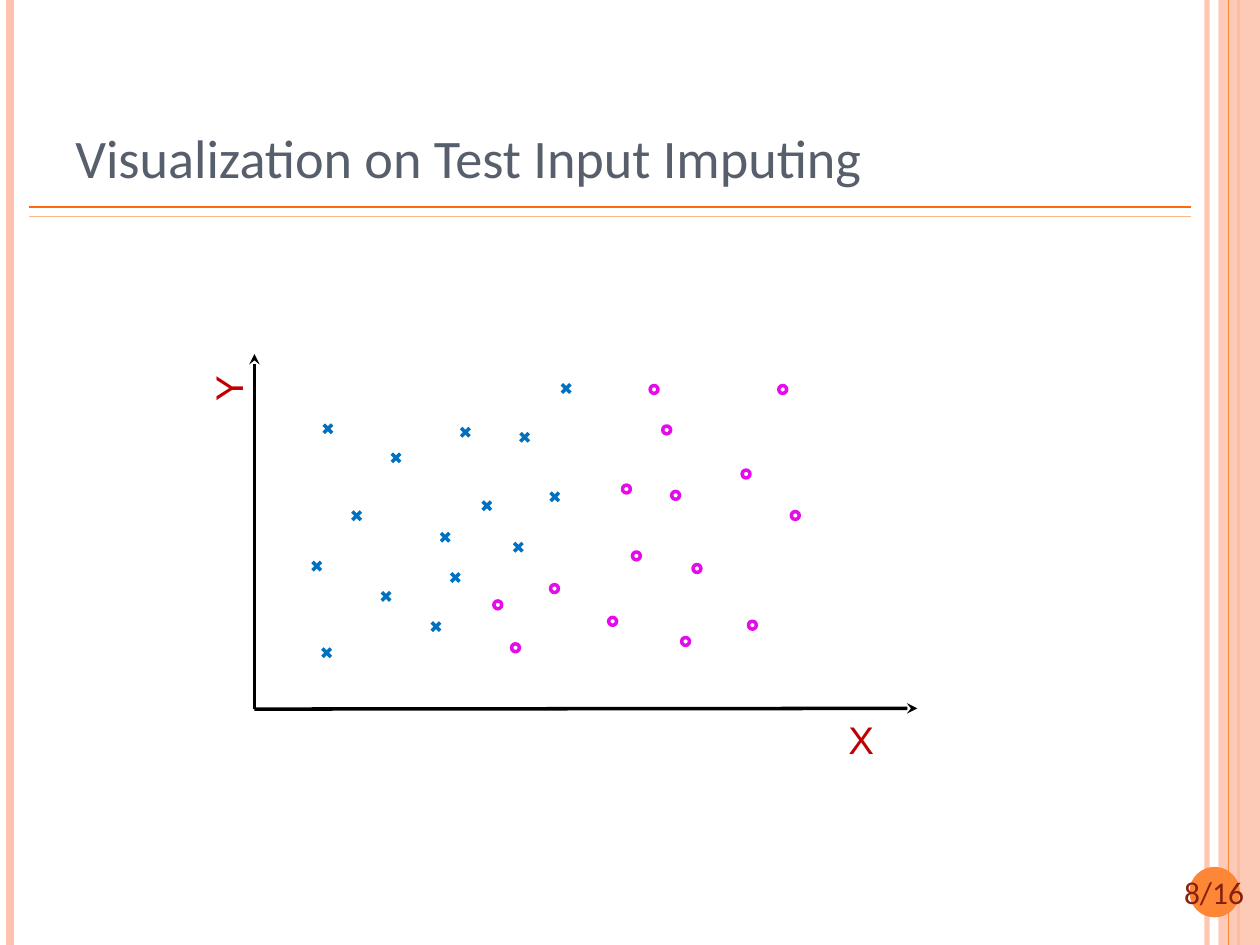
"""Builds the slide that plots two classes of test points on X and Y axes."""
from lxml.etree import SubElement
from pptx import Presentation
from pptx.dml.color import RGBColor
from pptx.enum.shapes import MSO_CONNECTOR, MSO_SHAPE
from pptx.enum.text import MSO_ANCHOR, PP_ALIGN
from pptx.oxml.ns import qn
from pptx.util import Pt

THEME = {
    "pale": RGBColor.from_string("FEC3AE"),
    "orange": RGBColor.from_string("FE8637"),
    "rule": RGBColor.from_string("FF6B0A"),
    "rule_light": RGBColor.from_string("FEB687"),
    "number": RGBColor.from_string("862110"),
    "title": RGBColor.from_string("575F6D"),
    "axis": RGBColor.from_string("000000"),
    "axis_label": RGBColor.from_string("C00000"),
    "cross": RGBColor.from_string("0070C0"),
    "circle": RGBColor.from_string("E60BEB"),
    "title_size": Pt(31),
    "label_size": Pt(22),
    "number_size": Pt(18),
}


def add_line(shapes, x1, y1, x2, y2, color, width):
    line = shapes.add_connector(MSO_CONNECTOR.STRAIGHT, Pt(x1), Pt(y1), Pt(x2), Pt(y2))
    line.line.color.rgb = THEME[color]
    line.line.width = Pt(width)
    SubElement(line.element.spPr, qn("a:effectLst"))
    return line


def add_text(text, box, font, frame, paragraph):
    tb = s.shapes.add_textbox(*map(Pt, box))
    tf = tb.text_frame
    p = tf.paragraphs[0]
    r = p.add_run()
    r.text = text
    name, size, color = font
    r.font.color.rgb = THEME[color]
    formats = {"name": name, "size": THEME[size]}
    for target, values in ((tf, frame), (p, paragraph), (r.font, formats)):
        for key, value in values.items():
            setattr(target, key, value)
    return tb


prs = Presentation()
prs.slide_width, prs.slide_height = Pt(720), Pt(540)
s = prs.slides.add_slide(prs.slide_layouts[6])

edge = add_line(s.shapes, 689.8, 0, 689.8, 540, "pale", 3)
add_line(s.shapes, 5.8, 0, 5.8, 540, "pale", 4.5)
add_line(s.shapes, 707.8, 0, 707.8, 540, "orange", 1.5)

band = s.shapes.add_shape(MSO_SHAPE.RECTANGLE, Pt(696.2), 0, Pt(23.8), Pt(540))
add_line(s.shapes, 702, 0, 702, 540, "orange", 0.75)
for y, color in ((118.1, "rule"), (123.8, "rule_light")):
    add_line(s.shapes, 16.6, y, 680.4, y, color, 1)
badge = s.shapes.add_shape(MSO_SHAPE.OVAL, Pt(679.7), Pt(495.4), Pt(28.8), Pt(28.8))

for sp, color in ((band, "pale"), (badge, "orange")):
    sp.shadow.inherit = False
    sp.fill.solid()
    sp.fill.fore_color.rgb = THEME[color]
    sp.line.fill.background()
for sp, alpha in ((edge, 93), (band, 87)):
    color = next(sp.element.spPr.iter(qn("a:srgbClr")))
    SubElement(color, qn("a:alpha"), val=str(alpha * 1000))

add_text("8/16", (661, 495.4, 65.5, 28.8), ("Calibri", "number_size", "number"),
         {"word_wrap": True}, {"alignment": PP_ALIGN.CENTER})
add_text("Visualization on Test Input Imputing", (36, 21.6, 588.2, 90),
         ("Calibri", "title_size", "title"),
         {"word_wrap": True, "vertical_anchor": MSO_ANCHOR.BOTTOM},
         {"alignment": PP_ALIGN.LEFT})

for x1, y1, x2, y2 in ((145.4, 405, 145.4, 202.3), (145.4, 405.2, 524.2, 404.8)):
    axis = add_line(s.shapes, x1, y1, x2, y2, "axis", 2)
    SubElement(axis.element.spPr.find(qn("a:ln")), qn("a:tailEnd"), type="stealth")

for text, x, y, rotation in (("X", 477.4, 414, 0), ("Y", 119.5, 209.5, 270)):
    label = add_text(text, (x, y, 29.5, 25.2), ("Arial", "label_size", "axis_label"),
                     {"word_wrap": False},
                     {"alignment": PP_ALIGN.CENTER, "line_spacing": 0.65,
                      "space_before": Pt(3)})
    label.rotation = rotation

crosses = (
    (252, 304.6), (275.8, 286.6), (246.7, 355.7), (184.3, 370.6), (263.5, 244.6),
    (297.4, 247.5), (293.8, 310.3), (314.6, 281.5), (178.6, 321.1), (257.8, 327.6),
    (223.9, 259.2), (218.2, 338.4), (201.4, 292.3), (185, 242.6), (321.1, 219.6),
)
cross_size = 4.8
for x, y in crosses:
    group = s.shapes.add_group_shape()
    right, bottom = x + cross_size, y + cross_size
    add_line(group.shapes, x, y, right, bottom, "cross", 2)
    add_line(group.shapes, right, y, x, bottom, "cross", 2)

circles = (
    (424.1, 268.6), (292.3, 367.9), (445, 220.3), (355.7, 277.2), (378.7, 243.4),
    (347.8, 352.8), (452.2, 292.3), (383.8, 280.8), (396, 322.6), (389.5, 364.3),
    (314.6, 334.1), (361.4, 315.4), (427.7, 355), (371.5, 220.3), (282.2, 343.4),
)
circle_size = Pt(4.5)
for x, y in circles:
    sp = s.shapes.add_shape(MSO_SHAPE.OVAL, Pt(x), Pt(y), circle_size, circle_size)
    sp.shadow.inherit = False
    sp.fill.background()
    sp.line.color.rgb = THEME["circle"]
    sp.line.width = Pt(2)

prs.save("out.pptx")
